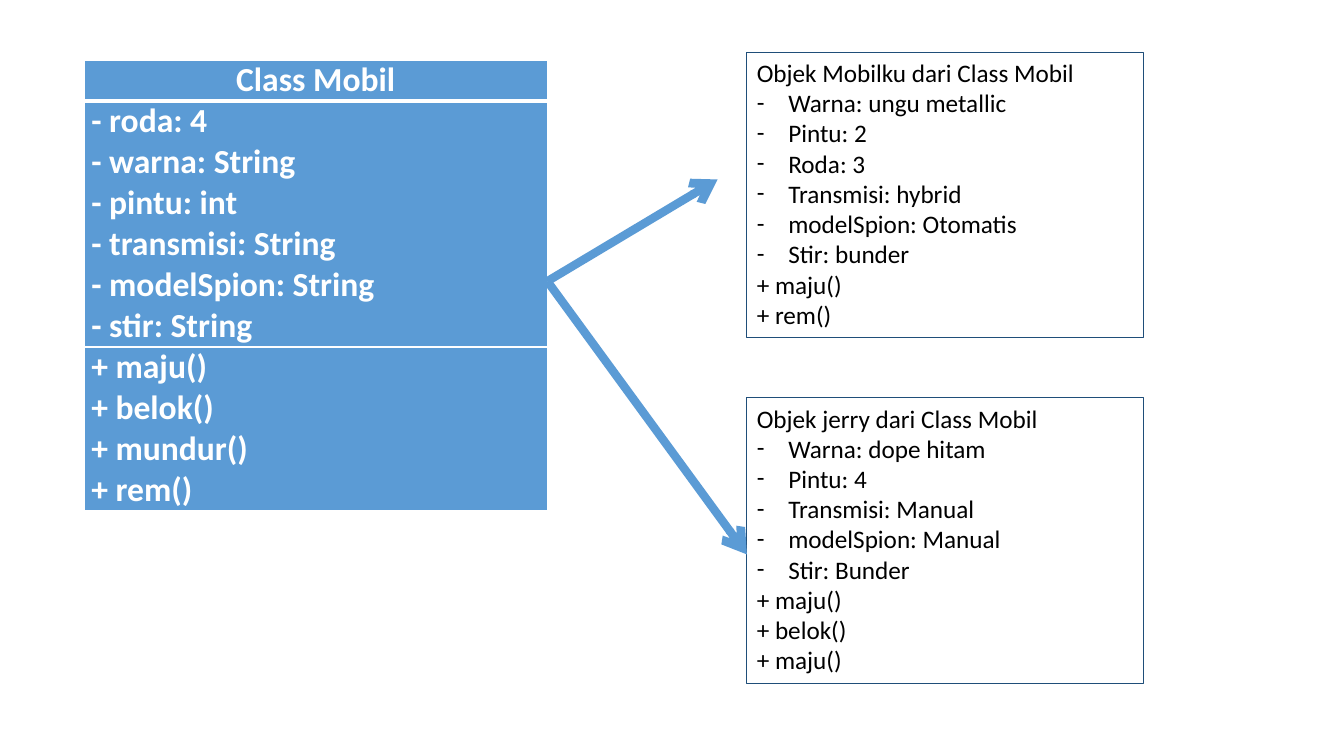
from lxml import etree
from pptx import Presentation
from pptx.dml.color import RGBColor
from pptx.enum.shapes import MSO_CONNECTOR
from pptx.enum.text import MSO_ANCHOR, PP_ALIGN
from pptx.oxml.ns import qn
from pptx.util import Pt

STRAIGHT = MSO_CONNECTOR.STRAIGHT
TOP = MSO_ANCHOR.TOP
LEFT, CENTER = PP_ALIGN.LEFT, PP_ALIGN.CENTER

# Content
CLASS_MOBIL = [
    ["Class Mobil"],
    ["- roda: 4", "- warna: String", "- pintu: int", "- transmisi: String",
     "- modelSpion: String", "- stir: String"],
    ["+ maju()", "+ belok()", "+ mundur()", "+ rem()"],
]
JERRY = {
    "title": "Objek jerry dari Class Mobil",
    "attributes": ["Warna: dope hitam", "Pintu: 4", "Transmisi: Manual",
                   "modelSpion: Manual", "Stir: Bunder"],
    "methods": ["+ maju()", "+ belok()", "+ maju()"],
}
MOBILKU = {
    "title": "Objek Mobilku dari Class Mobil",
    "attributes": ["Warna: ungu metallic", "Pintu: 2", "Roda: 3",
                   "Transmisi: hybrid", "modelSpion: Otomatis", "Stir: bunder"],
    "methods": ["+ maju()", "+ rem()"],
}

# Format
FONT = "Calibri"
BLUE = RGBColor(0x5B, 0x9B, 0xD5)
NAVY = RGBColor(0x1F, 0x4E, 0x79)
WHITE = RGBColor(0xFF, 0xFF, 0xFF)
BLACK = RGBColor(0, 0, 0)
CLASS_TEXT = {"name": FONT, "size": Pt(24), "bold": True}
OBJECT_TEXT = {"name": FONT, "size": Pt(18)}
CELL_FORMAT = {"margin_left": Pt(5.2), "margin_right": Pt(5.2),
               "margin_top": 0, "margin_bottom": 0, "vertical_anchor": TOP}

# Layout in points
CLASS_X, CLASS_Y, CLASS_W, CLASS_LINE = 60, 42.8, 331, 28.8
OBJECT_X, OBJECT_W, OBJECT_H = 533.5, 283, 203.8
MOBILKU_Y, JERRY_Y = 37.4, 284.2
INDENT = 22.5
ARROW_START = (CLASS_X + CLASS_W, 200.9)
MOBILKU_TIP = (512.6, 128.2)
JERRY_TIP = (OBJECT_X, 396)


def write_lines(frame, lines, font_format, color, align=LEFT):
    for i, line in enumerate(lines):
        paragraph = frame.paragraphs[0] if i == 0 else frame.add_paragraph()
        paragraph.alignment = align
        run = paragraph.add_run()
        run.text = line
        for key, value in font_format.items():
            setattr(run.font, key, value)
        run.font.color.rgb = color


def add_border(cell, side, width):
    border = etree.SubElement(cell._tc.get_or_add_tcPr(), qn(f"a:{side}"),
                              w=str(Pt(width)))
    fill = etree.SubElement(border, qn("a:solidFill"))
    etree.SubElement(fill, qn("a:srgbClr"), val=str(WHITE))


def add_class_table(slide):
    line_count = sum(len(part) for part in CLASS_MOBIL)
    table = slide.shapes.add_table(
        len(CLASS_MOBIL), 1, Pt(CLASS_X), Pt(CLASS_Y), Pt(CLASS_W),
        Pt(CLASS_LINE * line_count)).table
    table.horz_banding = False
    for row, lines in enumerate(CLASS_MOBIL):
        table.rows[row].height = Pt(CLASS_LINE * len(lines))
        cell = table.cell(row, 0)
        for key, value in CELL_FORMAT.items():
            setattr(cell, key, value)
        widths = {"lnL": 1, "lnR": 1, "lnT": 3 if row == 1 else 1,
                  "lnB": 3 if row == 0 else 1}
        for side, width in widths.items():
            add_border(cell, side, width)
        cell.fill.solid()
        cell.fill.fore_color.rgb = BLUE
        write_lines(cell.text_frame, lines, CLASS_TEXT, WHITE,
                    CENTER if row == 0 else LEFT)


def add_object_box(slide, content, y):
    box = slide.shapes.add_textbox(Pt(OBJECT_X), Pt(y), Pt(OBJECT_W), Pt(OBJECT_H))
    box.line.color.rgb = NAVY
    box.line.width = Pt(0.75)
    frame = box.text_frame
    frame.word_wrap = True
    attributes = content["attributes"]
    write_lines(frame, [content["title"], *attributes, *content["methods"]],
                OBJECT_TEXT, BLACK)
    # Dashes hang in front of the attributes
    for paragraph in frame.paragraphs[1:len(attributes) + 1]:
        properties = paragraph._p.get_or_add_pPr()
        properties.set("marL", str(Pt(INDENT)))
        properties.set("indent", str(Pt(-INDENT)))
        etree.SubElement(properties, qn("a:buFont"), typeface=FONT)
        etree.SubElement(properties, qn("a:buChar"), char="-")


def add_arrow(slide, tip):
    arrow = slide.shapes.add_connector(
        STRAIGHT, *(Pt(value) for value in ARROW_START + tip))
    arrow.line.color.rgb = BLUE
    arrow.line.width = Pt(6)
    etree.SubElement(arrow.line._get_or_add_ln(), qn("a:tailEnd"), type="arrow")
    etree.SubElement(arrow._element.spPr, qn("a:effectLst"))


def main():
    prs = Presentation()
    prs.slide_width, prs.slide_height = Pt(960), Pt(540)
    slide = prs.slides.add_slide(prs.slide_layouts[6])
    add_class_table(slide)
    # Objects made from the class
    for content, y, tip in ((JERRY, JERRY_Y, MOBILKU_TIP),
                            (MOBILKU, MOBILKU_Y, JERRY_TIP)):
        add_object_box(slide, content, y)
        add_arrow(slide, tip)
    prs.save("out.pptx")


if __name__ == "__main__":
    main()
